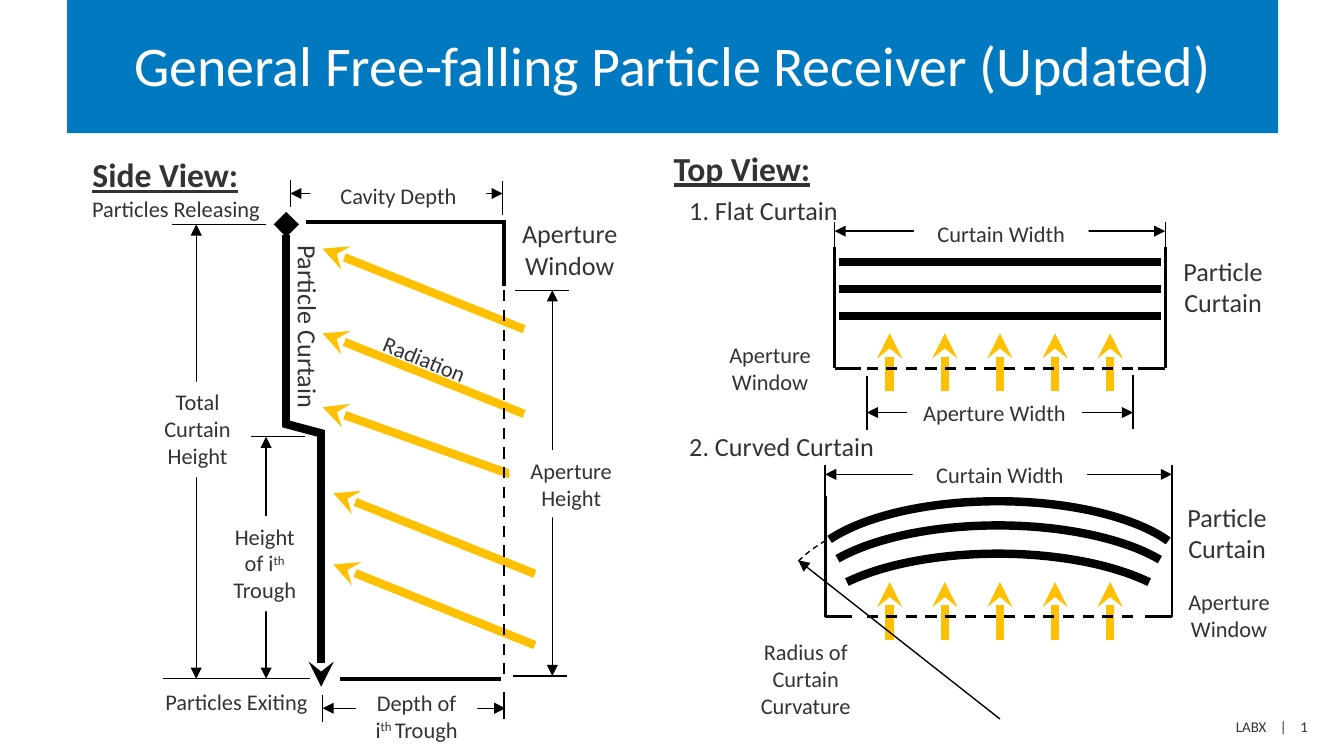
from lxml.etree import SubElement
from pptx import Presentation
from pptx.dml.color import RGBColor
from pptx.enum.dml import MSO_LINE
from pptx.enum.shapes import MSO_CONNECTOR, MSO_SHAPE
from pptx.enum.text import MSO_ANCHOR, MSO_AUTO_SIZE, PP_ALIGN
from pptx.oxml.ns import qn
from pptx.util import Cm, Pt

INCH = 2.54
BLACK, GRAY, WHITE, BLUE, AMBER = "000000", "333333", "FFFFFF", "0079C1", "FFC000"
color = RGBColor.from_string


def draw_line(x1, y1, x2, y2, width=0.75, stroke=BLACK, head=None, tail=None, dashed=False):
    ends = [Cm(v * INCH) for v in (x1, y1, x2, y2)]
    connector = slide.shapes.add_connector(MSO_CONNECTOR.STRAIGHT, *ends)
    connector.line.width = Pt(width)
    connector.line.color.rgb = color(stroke)
    if dashed:
        connector.line.dash_style = MSO_LINE.DASH
    ln = connector.line._get_or_add_ln()
    for tag, kind in (("a:headEnd", head), ("a:tailEnd", tail)):
        if kind:
            SubElement(ln, qn(tag)).set("type", kind)
    SubElement(connector._element.spPr, qn("a:effectLst"))


def add_label(runs, x, y, w, h, size=12, align=PP_ALIGN.CENTER, filled=False, turn=0):
    label = slide.shapes.add_textbox(*[Cm(v * INCH) for v in (x, y, w, h)])
    label.rotation = turn
    if filled:
        label.fill.solid()
        label.fill.fore_color.rgb = color(WHITE)
    label.text_frame.word_wrap = True
    label.text_frame.auto_size = MSO_AUTO_SIZE.SHAPE_TO_FIT_TEXT
    paragraph = label.text_frame.paragraphs[0]
    paragraph.alignment = align
    for text in runs:
        run = paragraph.add_run()
        run.text = text
        run.font.size = Pt(size)
        run.font.name = "Calibri"
        run.font.color.rgb = color(GRAY)
    return paragraph


deck = Presentation()
deck.slide_width, deck.slide_height = Cm(25.4), Cm(25.4 * 9 / 16)
slide = deck.slides.add_slide(deck.slide_layouts[5])

title = slide.shapes.title
title.left, title.top, title.width, title.height = [Cm(v * INCH) for v in (0.5, 0, 9.01, 0.99)]
title.fill.solid()
title.fill.fore_color.rgb = color(BLUE)
title.text_frame.text = "General Free-falling Particle Receiver (Updated)"
title.text_frame.auto_size = MSO_AUTO_SIZE.NONE
title.text_frame.vertical_anchor = MSO_ANCHOR.MIDDLE
title.text_frame.margin_top = Cm(0.33)
heading = title.text_frame.paragraphs[0]
heading.alignment = PP_ALIGN.CENTER
heading.line_spacing = Pt(28)
heading.runs[0].font.size = Pt(30)
heading.runs[0].font.name = "Calibri"
heading.runs[0].font.color.rgb = color(WHITE)

for x, y, run_length, rise in [
    (3.9, 2.45, 1.5, 0.6), (3.9, 3.08, 1.5, 0.6), (3.8, 3.53, 1.4, 0.5),
    (3.98, 4.27, 1.5, 0.6), (3.98, 4.8, 1.5, 0.6),
]:
    draw_line(x, y, x - run_length, y - rise, 4.5, AMBER, tail="stealth")

draw_line(2.13, 1.67, 2.13, 3.18, 4.5, head="diamond")
draw_line(2.11, 3.15, 2.41, 3.23, 4.5)
draw_line(2.39, 3.21, 2.39, 5.11, 4.5, tail="stealth")

for cavity_wall in [(3.75, 1.64, 3.75, 2.13), (3.76, 1.65, 2.28, 1.65), (3.73, 5.05, 2.53, 5.05)]:
    draw_line(*cavity_wall, 2.25)
draw_line(3.75, 2.16, 3.75, 5.03, 1.5, dashed=True)

for left, right, floor, ruler, tick_end in [(6.21, 8.67, 2.74, 1.72, 1.87), (6.14, 8.72, 4.59, 3.53, 3.97)]:
    for i in range(5):
        x = 6.62 + 0.41 * i
        draw_line(x, floor + 0.17, x, floor - 0.26, 4.5, AMBER, tail="stealth")
    draw_line(8.43, floor, 6.43, floor, 1.5, dashed=True)
    for wall, inward in ((left, 0.2), (right, -0.2)):
        draw_line(wall, floor, wall + inward, floor, 1.5)
        draw_line(wall, floor, wall, floor - 0.9, 1.5)
        draw_line(wall, tick_end, wall, ruler - 0.07)
    draw_line(right, ruler, left, ruler, head="triangle", tail="triangle")

for y in (1.95, 2.15, 2.35):
    draw_line(6.24, y, 8.64, y, 4.5)

for x, y, w, h, start, end, width in [
    (5.97, 3.73, 2.91, 1.16, 115.97, 208.41, 4.5),
    (5.97, 3.91, 2.91, 1.16, 117.32, 206.95, 4.5),
    (5.97, 4.12, 2.91, 1.16, 118.89, 205.15, 4.5),
    (5.75, 3.83, 2.35, 1.52, 121.68, 130.49, 0.75),
]:
    arc = slide.shapes.add_shape(MSO_SHAPE.ARC, *[Cm(v * INCH) for v in (x, y, w, h)])
    arc.adjustments[0], arc.adjustments[1] = start, end
    arc.shadow.inherit = False
    arc.fill.background()
    arc.line.color.rgb = color(BLACK)
    arc.line.width = Pt(width)
    if width < 1:
        arc.line.dash_style = MSO_LINE.DASH
draw_line(7.44, 5.35, 5.94, 4.17, tail="triangle")

for measure in [
    (8.43, 3.07, 6.45, 3.07), (3.74, 1.44, 2.16, 1.44), (3.76, 5.27, 2.4, 5.27),
    (1.98, 5.05, 1.98, 3.25), (4.11, 5.03, 4.11, 2.16), (1.46, 5.05, 1.46, 1.67),
]:
    draw_line(*measure, head="triangle", tail="triangle")

for tick in [
    (8.43, 3.19, 8.43, 2.79), (6.45, 3.2, 6.45, 2.8), (3.74, 1.6, 3.74, 1.35),
    (2.16, 1.54, 2.16, 1.34), (3.75, 5.35, 3.75, 5.15), (2.4, 5.37, 2.4, 5.17),
    (1.21, 5.05, 2.31, 5.05), (1.87, 3.25, 2.27, 3.25), (4.22, 5.03, 3.82, 5.03),
    (4.23, 2.16, 3.83, 2.16), (1.28, 1.67, 1.98, 1.67),
]:
    draw_line(*tick)

for text, *box in [
    ("Aperture Width", 6.75, 2.92, 1.3, 0.3),
    ("Curtain Width", 6.8, 1.59, 1.3, 0.3),
    ("Curtain Width", 6.79, 3.38, 1.3, 0.3),
    ("Cavity Depth", 2.31, 1.31, 1.31, 0.3),
    ("Aperture Height", 3.79, 3.35, 0.92, 0.5),
    ("Total Curtain Height", 1.09, 2.84, 0.76, 0.71),
]:
    add_label([text], *box, filled=True)

for start, *box in [("Height of i", 1.59, 3.84, 0.76, 0.71), ("Depth of i", 2.65, 5.08, 0.9, 0.5)]:
    trough = add_label([start, "th ", "Trough"], *box, filled=True)
    trough.runs[1]._r.get_or_add_rPr().set("baseline", "30000")

for text, *box in [
    ("Aperture Window", 5.1, 2.49, 1.26, 0.5),
    ("Aperture Window", 8.6, 4.33, 1.09, 0.5),
    ("Radius of Curtain Curvature", 5.42, 4.7, 1.15, 0.71),
    ("Particles Releasing", 0.42, 1.4, 1.78, 0.3),
    ("Particles Exiting", 0.99, 5.07, 1.54, 0.3),
]:
    add_label([text], *box)

for text, *box in [
    ("Aperture Window", 3.64, 1.57, 1.2, 0.57),
    ("Particle Curtain", 8.54, 1.85, 1.12, 0.57),
    ("Particle Curtain", 8.57, 3.68, 1.12, 0.57),
]:
    add_label([text], *box, size=14)
add_label(["Particle Curtain"], 1.41, 2.26, 1.76, 0.34, size=14, turn=90)
add_label(["Radiation"], 2.58, 2.52, 1.16, 0.3, turn=22.2)

add_label(["1. Flat Curtain"], 5.03, 1.4, 1.88, 0.34, size=14, align=PP_ALIGN.LEFT)
add_label(["2. Curved Curtain"], 5.03, 3.15, 2.39, 0.34, size=14, align=PP_ALIGN.LEFT)

for text, *box in [("Side View:", 0.42, 1.1, 1.62, 0.4), ("Top View:", 4.58, 1.05, 1.88, 0.4)]:
    view = add_label([text], *box, size=18)
    view.runs[0].font.bold = True
    view.runs[0].font.underline = True

footer = add_label(["LABX", " ", "|", " ", "1"], 7.34, 5.29, 2.49, 0.24, size=8, align=PP_ALIGN.RIGHT)
for gap in (footer.runs[1], footer.runs[3]):
    gap._r.get_or_add_rPr().set("spc", "540")

deck.save("out.pptx")
